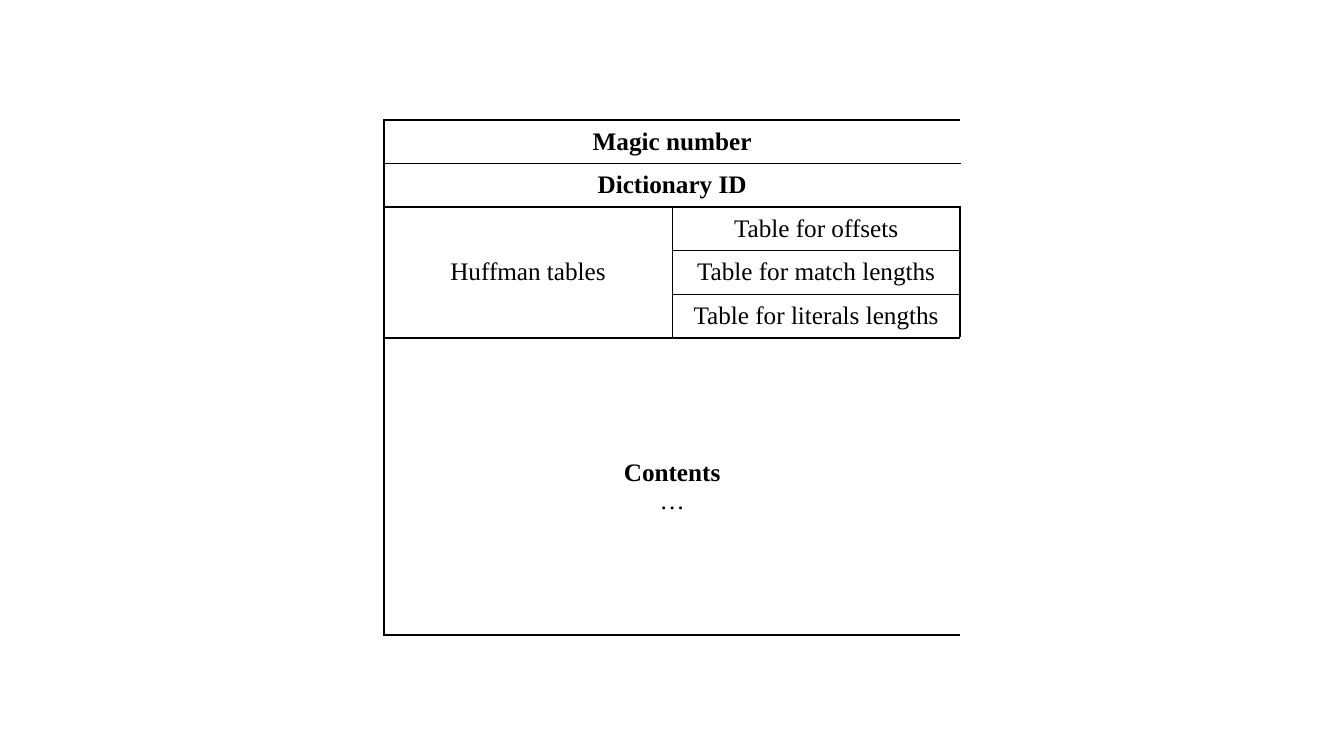
from dataclasses import dataclass

from lxml import etree
from pptx import Presentation
from pptx.dml.color import RGBColor
from pptx.enum.text import MSO_ANCHOR, PP_ALIGN
from pptx.oxml.ns import qn
from pptx.table import Table, _Cell
from pptx.util import Pt

CENTER = PP_ALIGN.CENTER
MIDDLE = MSO_ANCHOR.MIDDLE
COLORS = {"ink": "000000", "paper": "FFFFFF"}
FONT = "Times New Roman"
THICK, THIN = 1.5, 0.75
LEFT, TOP = 274.3, 85.7
COL_WIDTH = 205.8
ROW_HEIGHTS = [31.1] * 5 + [212.7]


@dataclass
class Field:
    row: int
    col: int
    lines: list[str]
    rows: int = 1
    cols: int = 1
    bold: bool = False
    right: float = THICK
    bottom: float = THICK
    left: float = THICK
    top: float = THICK


FIELDS = [
    Field(0, 0, ["Magic number"], cols=2, bold=True),
    Field(1, 0, ["Dictionary ID"], cols=2, bold=True),
    Field(2, 0, ["Huffman tables"], rows=3, right=THIN),
    Field(2, 1, ["Table for offsets"], left=THIN, bottom=THIN),
    Field(3, 1, ["Table for match lengths"], left=THIN, top=THIN, bottom=THIN),
    Field(4, 1, ["Table for literals lengths"], left=THIN, top=THIN),
    Field(5, 0, ["Contents", "…"], cols=2, bold=True),
]


def add_border(cell: _Cell, side: str, width: float) -> None:
    tcPr = cell._tc.get_or_add_tcPr()
    ln = etree.SubElement(tcPr, qn(f"a:ln{side}"), w=str(Pt(width)))
    fill = etree.SubElement(ln, qn("a:solidFill"))
    etree.SubElement(fill, qn("a:srgbClr"), val=COLORS["ink"])


def style_cells(table: Table, field: Field) -> None:
    last_row = field.row + field.rows - 1
    last_col = field.col + field.cols - 1
    for row in range(field.row, last_row + 1):
        for col in range(field.col, last_col + 1):
            cell = table.cell(row, col)
            edges = [
                ("L", col == field.col, field.left),
                ("R", col == last_col, field.right),
                ("T", row == field.row, field.top),
                ("B", row == last_row, field.bottom),
            ]
            for side, outer, width in edges:
                if outer:
                    add_border(cell, side, width)
            cell.fill.solid()
            cell.fill.fore_color.rgb = RGBColor.from_string(COLORS["paper"])


def draw_field(table: Table, field: Field) -> None:
    style_cells(table, field)
    cell = table.cell(field.row, field.col)
    if field.rows * field.cols > 1:
        cell.merge(table.cell(field.row + field.rows - 1, field.col + field.cols - 1))
    cell.vertical_anchor = MIDDLE
    tf = cell.text_frame
    tf.text = "\n".join(field.lines)
    for i, p in enumerate(tf.paragraphs):
        p.alignment = CENTER
        for font in [p.font, *(r.font for r in p.runs)]:
            font.name = FONT
            font.size = Pt(18)
            font.bold = field.bold and i == 0
            font.color.rgb = RGBColor.from_string(COLORS["ink"])


def main() -> None:
    prs = Presentation()
    prs.slide_width, prs.slide_height = Pt(960), Pt(540)
    s = prs.slides.add_slide(prs.slide_layouts[6])
    table = s.shapes.add_table(
        len(ROW_HEIGHTS), 2, Pt(LEFT), Pt(TOP), Pt(2 * COL_WIDTH), Pt(sum(ROW_HEIGHTS))
    ).table
    table.first_row = False
    table.horz_banding = False
    for column in table.columns:
        column.width = Pt(COL_WIDTH)
    for row, height in zip(table.rows, ROW_HEIGHTS):
        row.height = Pt(height)
    for field in FIELDS:
        draw_field(table, field)
    prs.save("out.pptx")


if __name__ == "__main__":
    main()
